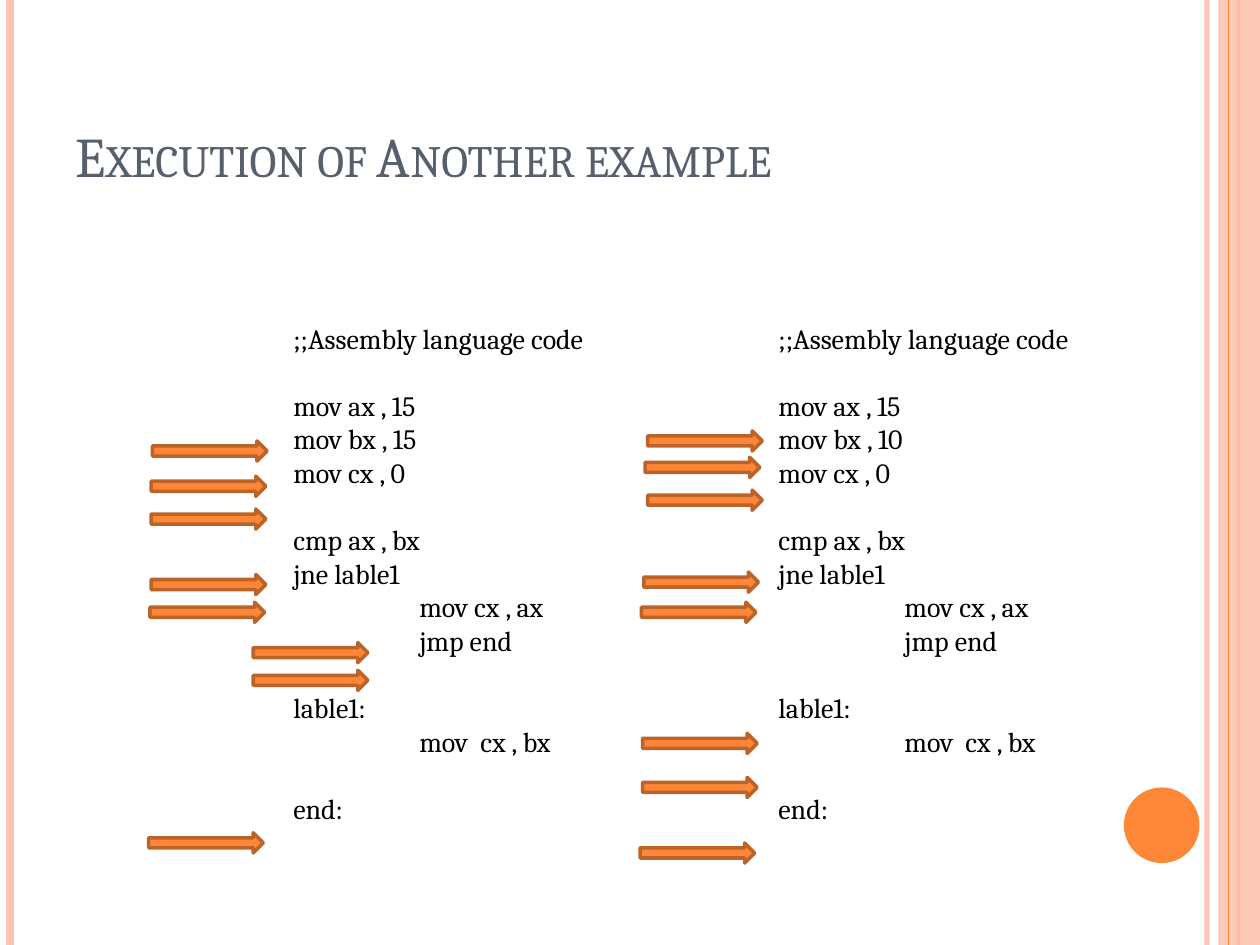
from dataclasses import dataclass

from lxml.etree import SubElement
from pptx import Presentation
from pptx.dml.color import RGBColor
from pptx.enum.shapes import MSO_CONNECTOR, MSO_SHAPE
from pptx.enum.text import MSO_ANCHOR, MSO_AUTO_SIZE, PP_ALIGN
from pptx.oxml.ns import qn
from pptx.shapes.autoshape import Shape
from pptx.slide import Slide
from pptx.util import Inches, Pt

COLORS = {
    "peach": "FEC3AE",
    "orange": "FE8637",
    "arrow_line": "BC6329",
    "title": "575F6D",
    "code": "000000",
}
FONT = "Cambria"
SLIDE_WIDTH, SLIDE_HEIGHT = 10, 7.5
ARROW_WIDTH, ARROW_HEIGHT = 0.91, 0.16
CODE_SIZE = 16
LINE_GAP = 19.2


@dataclass(frozen=True)
class Stripe:
    x: float
    color: str
    weight: float
    opacity: int = 100


@dataclass(frozen=True)
class CodeLine:
    text: str
    indented: bool = False
    gap_before: bool = False


@dataclass(frozen=True)
class Listing:
    left: float
    height: float
    bx_value: int
    arrows: tuple[tuple[float, float], ...]


STRIPES = (
    Stripe(9.58, "peach", 3, 93),
    Stripe(0.08, "peach", 4.5),
    Stripe(9.83, "orange", 1.5),
)
INNER_STRIPE = Stripe(9.75, "orange", 0.75)

LISTINGS = (
    Listing(2.23, 4.68, 15, (
        (1.21, 3.5), (1.2, 3.78), (1.2, 4.04), (1.2, 4.56),
        (1.19, 4.78), (2.01, 5.1), (2.01, 5.32), (1.18, 6.61),
    )),
    Listing(6.08, 4.64, 10, (
        (5.14, 3.42), (5.12, 3.63), (5.14, 3.89), (5.11, 4.54),
        (5.09, 4.78), (5.1, 5.82), (5.1, 6.17), (5.08, 6.69),
    )),
)


def rgb(name: str) -> RGBColor:
    return RGBColor.from_string(COLORS[name])


def set_opacity(properties, percent: int) -> None:
    """Add an alpha value to the first solid colour below the given element."""
    color = next(properties.iter(qn("a:srgbClr")))
    SubElement(color, qn("a:alpha")).set("val", str(percent * 1000))


def add_stripe(slide: Slide, stripe: Stripe) -> None:
    x = Inches(stripe.x)
    connector = slide.shapes.add_connector(
        MSO_CONNECTOR.STRAIGHT, x, 0, x, Inches(SLIDE_HEIGHT))
    connector.line.color.rgb = rgb(stripe.color)
    connector.line.width = Pt(stripe.weight)
    properties = connector._element.spPr
    if stripe.opacity < 100:
        set_opacity(properties, stripe.opacity)
    SubElement(properties, qn("a:effectLst"))


def add_filled_shape(slide: Slide, kind: MSO_SHAPE, left: float, top: float,
                     width: float, height: float, color: str) -> Shape:
    shape = slide.shapes.add_shape(
        kind, Inches(left), Inches(top), Inches(width), Inches(height))
    shape.shadow.inherit = False
    shape.fill.solid()
    shape.fill.fore_color.rgb = rgb(color)
    shape.line.fill.background()
    return shape


def add_decoration(slide: Slide) -> None:
    for stripe in STRIPES:
        add_stripe(slide, stripe)
    band = add_filled_shape(slide, MSO_SHAPE.RECTANGLE, 9.67, 0,
                            SLIDE_WIDTH - 9.67, SLIDE_HEIGHT, "peach")
    set_opacity(band._element.spPr, 87)
    add_stripe(slide, INNER_STRIPE)
    add_filled_shape(slide, MSO_SHAPE.OVAL, 8.92, 6.25, 0.6, 0.6, "orange")


def format_title(slide: Slide, text: str) -> None:
    title = slide.shapes.title
    title.left, title.top = Inches(0.5), Inches(0.3)
    title.width, title.height = Inches(8.17), Inches(1.25)
    frame = title.text_frame
    frame.auto_size = MSO_AUTO_SIZE.NONE
    frame.vertical_anchor = MSO_ANCHOR.BOTTOM
    paragraph = frame.paragraphs[0]
    paragraph.alignment = PP_ALIGN.LEFT
    run = paragraph.add_run()
    run.text = text
    run.font.name = FONT
    run.font.size = Pt(32)
    run.font.color.rgb = rgb("title")
    run._r.get_or_add_rPr().set("cap", "small")


def program(bx_value: int) -> tuple[CodeLine, ...]:
    return (
        CodeLine(";;Assembly language code"),
        CodeLine("mov ax , 15", gap_before=True),
        CodeLine(f"mov bx , {bx_value}"),
        CodeLine("mov cx , 0"),
        CodeLine("cmp ax , bx", gap_before=True),
        CodeLine("jne lable1"),
        CodeLine("mov cx , ax", indented=True),
        CodeLine("jmp end", indented=True),
        CodeLine("lable1:", gap_before=True),
        CodeLine("mov  cx , bx", indented=True),
        CodeLine("end:", gap_before=True),
    )


def add_code(slide: Slide, listing: Listing) -> None:
    box = slide.shapes.add_textbox(
        Inches(listing.left), Inches(2.5), Inches(2.73), Inches(listing.height))
    frame = box.text_frame
    frame.word_wrap = True
    for index, line in enumerate(program(listing.bx_value)):
        paragraph = frame.add_paragraph() if index else frame.paragraphs[0]
        if line.gap_before:
            paragraph.space_before = Pt(LINE_GAP)
        if line.indented:
            paragraph._p.get_or_add_pPr().set("marL", str(Inches(1)))
        run = paragraph.add_run()
        run.text = line.text
        run.font.name = FONT
        run.font.size = Pt(CODE_SIZE)
        run.font.color.rgb = rgb("code")


def add_step_arrow(slide: Slide, left: float, top: float) -> None:
    arrow = add_filled_shape(slide, MSO_SHAPE.RIGHT_ARROW, left, top,
                             ARROW_WIDTH, ARROW_HEIGHT, "orange")
    arrow.line.color.rgb = rgb("arrow_line")
    arrow.line.width = Pt(2)


def main() -> None:
    presentation = Presentation()
    presentation.slide_width = Inches(SLIDE_WIDTH)
    presentation.slide_height = Inches(SLIDE_HEIGHT)
    slide = presentation.slides.add_slide(presentation.slide_layouts[5])
    add_decoration(slide)
    format_title(slide, "Execution of Another example")
    for listing in LISTINGS:
        add_code(slide, listing)
        for left, top in listing.arrows:
            add_step_arrow(slide, left, top)
    presentation.save("out.pptx")


if __name__ == "__main__":
    main()
